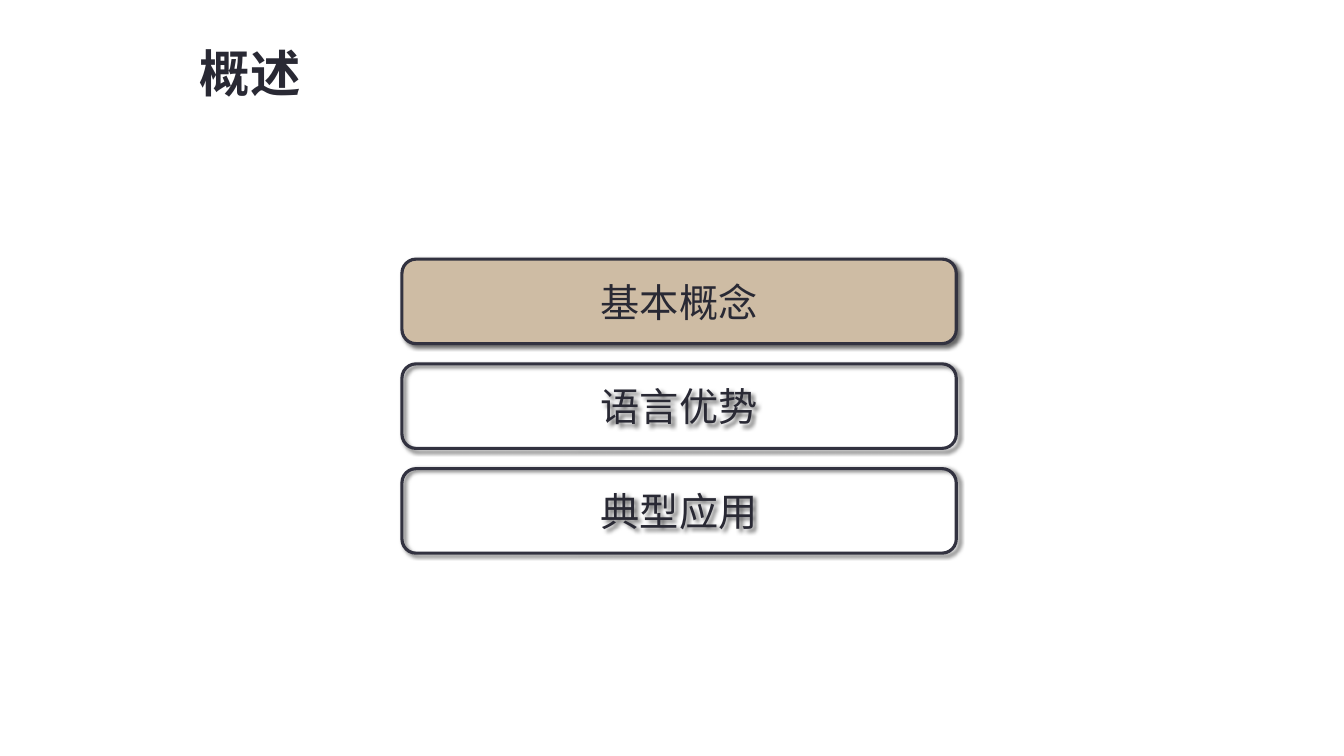
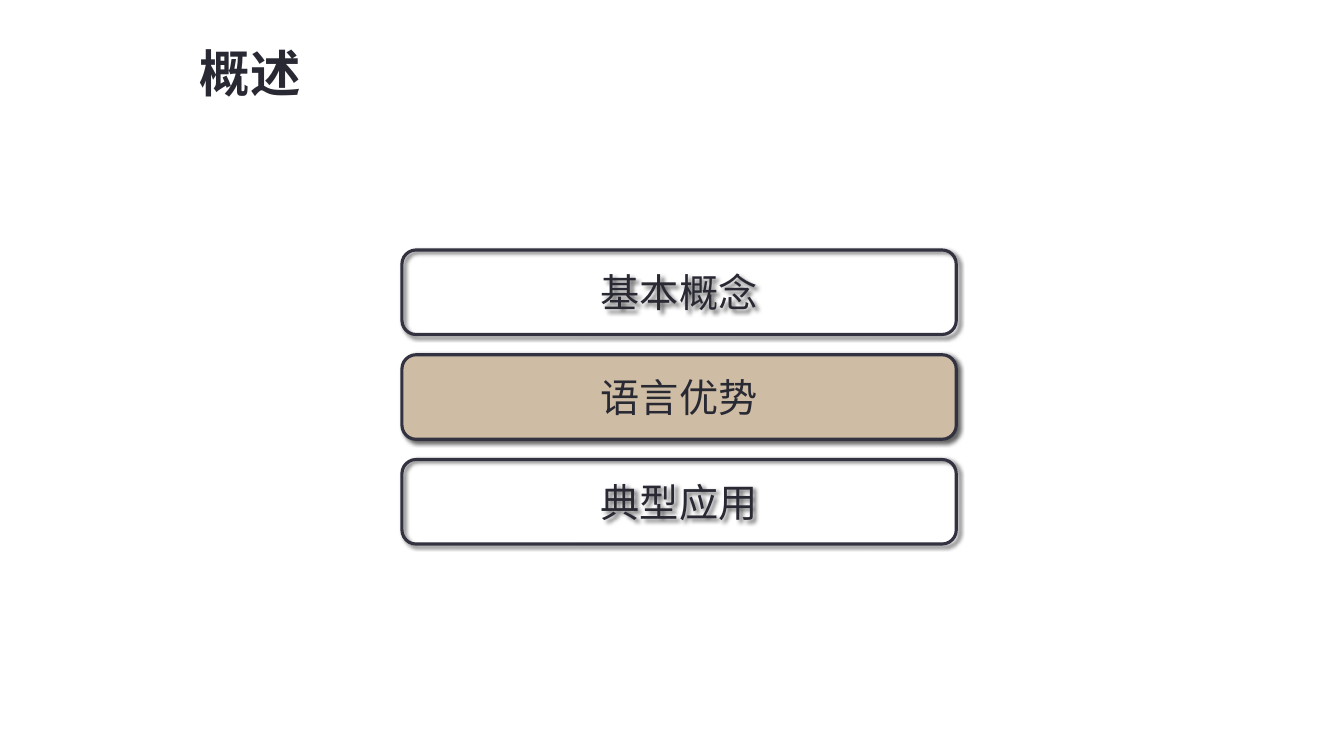
import lxml.etree
import pptx
import pptx.dml.color
import pptx.enum.shapes
import pptx.enum.text
import pptx.oxml.ns
import pptx.util

Cm, Pt = pptx.util.Cm, pptx.util.Pt
RGBColor = pptx.dml.color.RGBColor
PP_ALIGN = pptx.enum.text.PP_ALIGN
MSO_ANCHOR = pptx.enum.text.MSO_ANCHOR
MSO_AUTO_SIZE = pptx.enum.text.MSO_AUTO_SIZE

# Shared colours and text styles
INK = RGBColor(0x29, 0x29, 0x34)
OUTLINE = RGBColor(0x32, 0x32, 0x40)
HIGHLIGHT = RGBColor(0xCE, 0xBC, 0xA4)
WHITE = RGBColor(0xFF, 0xFF, 0xFF)
FONT_NAME = "Noto Sans CJK SC"
TITLE_FONT = {"name": FONT_NAME, "size": Pt(36), "bold": True}
TOPIC_FONT = {"name": FONT_NAME, "size": Pt(28), "bold": False}
TITLE_BOX = {"left": Cm(4.78), "top": Cm(0.94), "width": Cm(3.23), "height": Cm(1.8)}
TITLE_FRAME = {
    "vertical_anchor": MSO_ANCHOR.TOP,
    "word_wrap": False,
    "auto_size": MSO_AUTO_SIZE.SHAPE_TO_FIT_TEXT,
}
TOPIC_FRAME = {"vertical_anchor": MSO_ANCHOR.MIDDLE, "word_wrap": True}

# Topic stack
TOPICS = ["基本概念", "语言优势", "典型应用"]
TOPIC_LEFT, TOPIC_WIDTH, TOPIC_HEIGHT = Cm(10.13), Cm(13.97), Cm(2.13)
TOPIC_PITCH = Cm(2.64)

# One entry per slide: top of the stack, index of the current topic
SLIDES = [(Cm(6.53), 0), (Cm(6.3), 1)]


def apply_format(target, values):
    for name, value in values.items():
        setattr(target, name, value)


def write_text(shape, text, font_values, frame_values, alignment):
    text_frame = shape.text_frame
    apply_format(text_frame, frame_values)
    paragraph = text_frame.paragraphs[0]
    paragraph.alignment = alignment
    run = paragraph.add_run()
    run.text = text
    apply_format(run.font, font_values)
    run.font.color.rgb = INK
    # East Asian typeface
    properties = run._r.get_or_add_rPr()
    east_asian = lxml.etree.SubElement(properties, pptx.oxml.ns.qn("a:ea"))
    east_asian.set("typeface", FONT_NAME)


def add_shadow(shape):
    shape.shadow.inherit = False
    effects = shape._element.spPr.find(pptx.oxml.ns.qn("a:effectLst"))
    shadow = lxml.etree.SubElement(
        effects,
        pptx.oxml.ns.qn("a:outerShdw"),
        blurRad=str(Pt(3)),
        dist=str(Pt(2)),
        dir=str(45 * 60000),
        algn="tl",
        rotWithShape="0",
    )
    color = lxml.etree.SubElement(shadow, pptx.oxml.ns.qn("a:srgbClr"), val="000000")
    lxml.etree.SubElement(color, pptx.oxml.ns.qn("a:alpha"), val="60000")


def add_title(slide, text):
    title = slide.shapes.title
    apply_format(title, TITLE_BOX)
    write_text(title, text, TITLE_FONT, TITLE_FRAME, PP_ALIGN.LEFT)


def add_topic(slide, text, top, is_current):
    shape = slide.shapes.add_shape(
        pptx.enum.shapes.MSO_SHAPE.ROUNDED_RECTANGLE,
        TOPIC_LEFT, top, TOPIC_WIDTH, TOPIC_HEIGHT,
    )
    if is_current:
        shape.fill.solid()
        shape.fill.fore_color.rgb = HIGHLIGHT
    else:
        shape.fill.background()
    shape.line.color.rgb = OUTLINE
    shape.line.width = Pt(2.25)
    add_shadow(shape)
    write_text(shape, text, TOPIC_FONT, TOPIC_FRAME, PP_ALIGN.CENTER)


def add_overview_slide(presentation, stack_top, current):
    slide = presentation.slides.add_slide(presentation.slide_layouts[5])
    slide.background.fill.solid()
    slide.background.fill.fore_color.rgb = WHITE
    add_title(slide, "概述")
    for index, topic in enumerate(TOPICS):
        add_topic(slide, topic, stack_top + index * TOPIC_PITCH, index == current)


def main():
    presentation = pptx.Presentation()
    presentation.slide_width = Cm(33.87)
    presentation.slide_height = Cm(19.05)
    for stack_top, current in SLIDES:
        add_overview_slide(presentation, stack_top, current)
    presentation.save("out.pptx")


if __name__ == "__main__":
    main()
